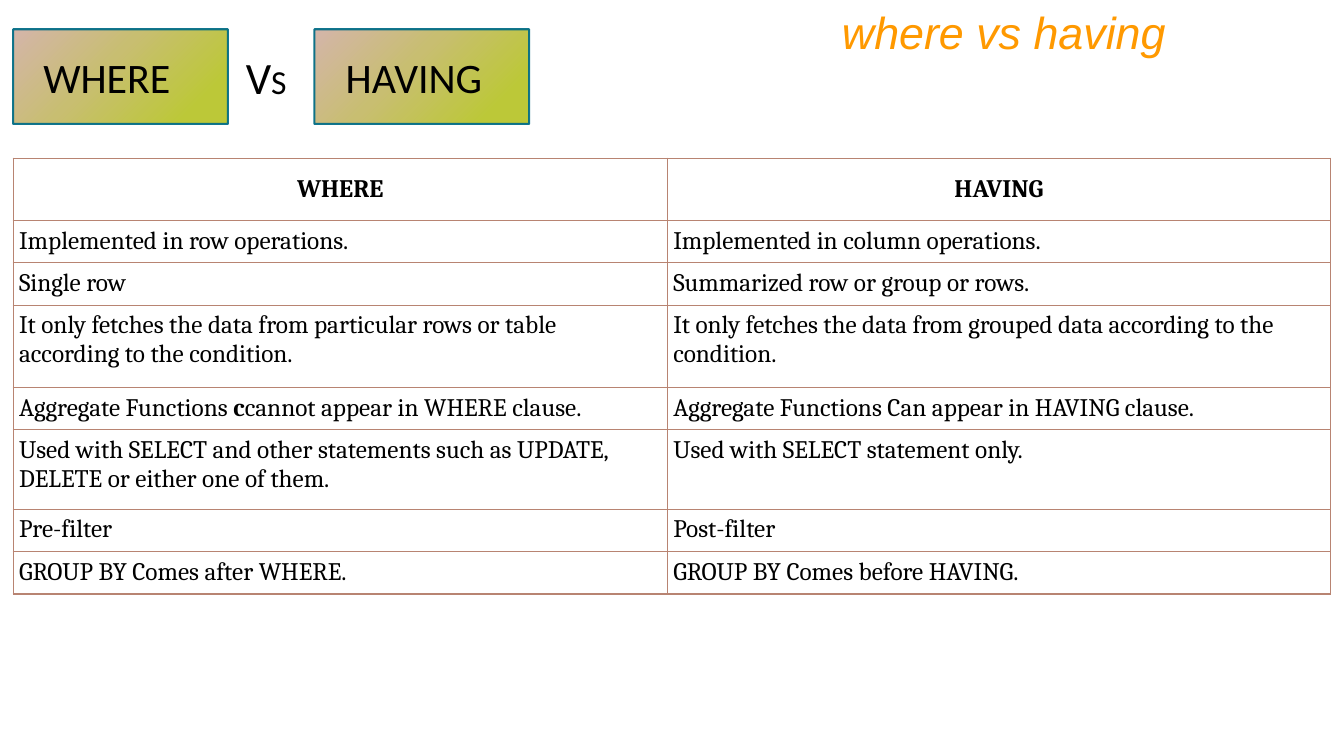
from copy import deepcopy

from lxml import etree
from pptx import Presentation
from pptx import util as u
from pptx.dml.color import RGBColor
from pptx.enum import shapes, text
from pptx.oxml import parse_xml
from pptx.oxml.ns import nsdecls, qn

Pt = u.Pt
COLORS = {"title": "FF9900", "ink": "000000", "grid": "B88472", "outline": "006C86",
          "green": "BCC838", "olive": "C8BE71", "pink": "D4B5AA"}


def add_run(paragraph, words, size, font, color="ink", bold=False, italic=False):
    run = paragraph.add_run()
    run.text = words
    run.font.size = Pt(size)
    run.font.name = font
    run.font.bold = bold
    run.font.italic = italic
    run.font.color.rgb = RGBColor.from_string(COLORS[color])


def add_label(left, top, width, height, wrap=True):
    frame = slide.shapes.add_textbox(Pt(left), Pt(top), Pt(width), Pt(height)).text_frame
    frame.word_wrap = wrap
    frame.auto_size = text.MSO_AUTO_SIZE.SHAPE_TO_FIT_TEXT
    return frame.paragraphs[0]


prs = Presentation()
prs.slide_width, prs.slide_height = Pt(960), Pt(540)
slide = prs.slides.add_slide(prs.slide_layouts[6])

# Title
title = add_label(120, 0, 720, 46)
title.alignment = text.PP_ALIGN.RIGHT
add_run(title, "where vs having", 32, "Arial", "title", italic=True)

# Comparison table: each cell is a list of (words, bold) runs
comparison = [
    ([("WHERE", True)], [("HAVING", True)]),
    ([("Implemented in row operations.", False)],
     [("Implemented in column operations.", False)]),
    ([("Single row", False)], [("Summarized row or group or rows.", False)]),
    ([("It only fetches the data from particular rows or table according to the condition.", False)],
     [("It only fetches the data from grouped data according to the condition.", False)]),
    ([("Aggregate Functions ", False), ("c", True), ("cannot appear in WHERE clause.", False)],
     [("Aggregate Functions Can appear in HAVING clause.", False)]),
    ([("Used with SELECT and other statements such as UPDATE, DELETE or either one of them.", False)],
     [("Used with SELECT statement only.", False)]),
    ([("Pre-filter", False)], [("Post-filter", False)]),
    ([("GROUP BY Comes after WHERE.", False)], [("GROUP BY Comes before HAVING.", False)]),
]
row_heights = [44.6, 30.2, 30.2, 59, 28.1, 56.9, 30.2, 30.2]
column_widths = [467.3, 473.8]
table = slide.shapes.add_table(len(row_heights), 2, Pt(9.4), Pt(113), Pt(sum(column_widths)),
                               Pt(sum(row_heights))).table
table.first_row = table.horz_banding = False
for column, width in zip(table.columns, column_widths):
    column.width = Pt(width)

for r, (row, height) in enumerate(zip(comparison, row_heights)):
    table.rows[r].height = Pt(height)
    for c, runs in enumerate(row):
        cell = table.cell(r, c)
        cell.margin_left = cell.margin_right = cell.margin_top = cell.margin_bottom = Pt(4.2)
        paragraph = cell.text_frame.paragraphs[0]
        if r == 0:
            cell.vertical_anchor = text.MSO_ANCHOR.MIDDLE
            paragraph.alignment = text.PP_ALIGN.CENTER
        for words, bold in runs:
            add_run(paragraph, words, 18, "Cambria", bold=bold)
        # Borders come before the fill in the cell properties
        for side in ("lnL", "lnR", "lnT", "lnB"):
            cell._tc.get_or_add_tcPr().append(parse_xml(
                f'<a:{side} {nsdecls("a")} w="12700"><a:solidFill>'
                f'<a:srgbClr val="{COLORS["grid"]}"/></a:solidFill></a:{side}>'))
        cell.fill.background()

# WHERE and HAVING boxes
for word, box_left, word_left, word_width in (("WHERE", 9.4, 23.8, 116.6),
                                              ("HAVING", 224.6, 239.8, 126)):
    box = slide.shapes.add_shape(shapes.MSO_SHAPE.RECTANGLE, Pt(box_left), Pt(20.9),
                                 Pt(153.4), Pt(67.7))
    box.shadow.inherit = False
    box.fill.gradient()
    box.fill.gradient_angle = 135
    stop_list = box.fill._fill._gradFill.find(qn("a:gsLst"))
    stop_list.append(deepcopy(stop_list[0]))
    for stop, position, color in zip(box.fill.gradient_stops, (0.16, 0.58, 1),
                                     ("green", "olive", "pink")):
        stop.position = position
        stop.color.rgb = RGBColor.from_string(COLORS[color])
    box.line.width = Pt(1.5)
    box.line.color.rgb = RGBColor.from_string(COLORS["outline"])
    outline = box.line._ln.find(".//" + qn("a:srgbClr"))
    etree.SubElement(outline, qn("a:alpha"), val="92000")
    add_run(add_label(word_left, 33.1, word_width, 43.9, wrap=False), word, 30, "Calibri")

# Vs between the boxes
versus = add_label(168.5, 31.7, 59, 46)
add_run(versus, "V", 32, "Calibri")
add_run(versus, "S", 24, "Calibri")

prs.save("out.pptx")
